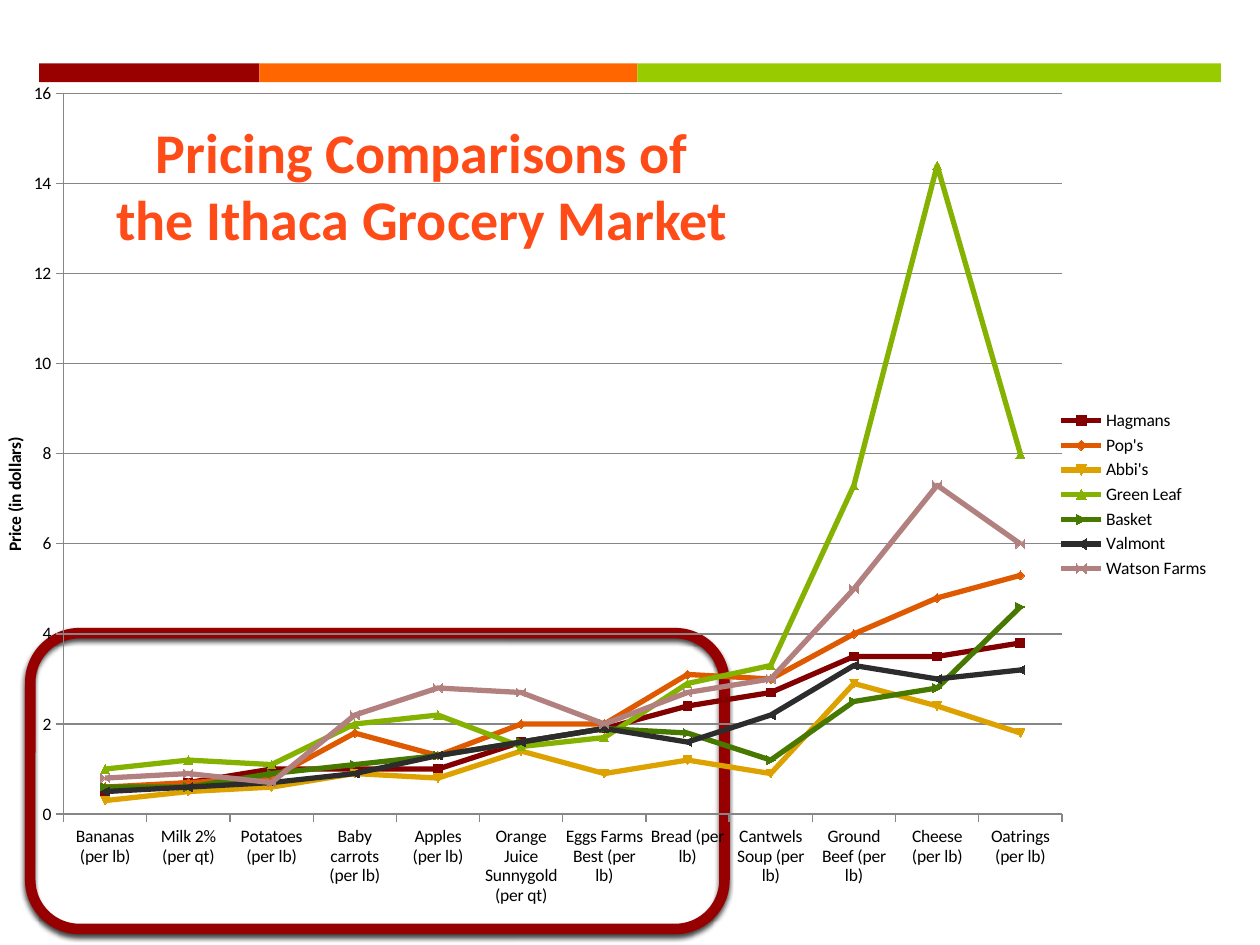
import pptx
import pptx.chart.data
import pptx.dml.color
import pptx.enum.chart
import pptx.enum.shapes
import pptx.enum.text
import pptx.oxml
import pptx.oxml.ns
import pptx.util

WIDE, HIGH = 10, 7.5
FONT = "Calibri"
HUES = {
    "red": "990000", "orange": "FF6600", "lime": "99CC00",
    "frame": "960000", "title": "FF4B18", "text": "000000", "grid": "868686",
}
BANDS = [("red", 1.75), ("orange", 3), ("lime", 4.63)]
FOODS = [
    "Bananas (per lb)", "Milk 2% (per qt)", "Potatoes (per lb)",
    "Baby carrots (per lb)", "Apples (per lb)",
    "Orange Juice Sunnygold (per qt)", "Eggs Farms Best (per lb)",
    "Bread (per lb)", "Cantwels Soup (per lb)", "Ground Beef (per lb)",
    "Cheese (per lb)", "Oatrings (per lb)",
]
STORES = [
    ("Hagmans", "820000", [0.5, 0.7, 1, 1, 1, 1.6, 1.9, 2.4, 2.7, 3.5, 3.5, 3.8]),
    ("Pop's", "DE5900", [0.6, 0.7, 0.8, 1.8, 1.3, 2, 2, 3.1, 3, 4, 4.8, 5.3]),
    ("Abbi's", "DDA100", [0.3, 0.5, 0.6, 0.9, 0.8, 1.4, 0.9, 1.2, 0.9, 2.9, 2.4, 1.8]),
    ("Green Leaf", "85B200", [1, 1.2, 1.1, 2, 2.2, 1.5, 1.7, 2.9, 3.3, 7.3, 14.4, 8]),
    ("Basket", "477800", [0.6, 0.6, 0.9, 1.1, 1.3, 1.6, 1.9, 1.8, 1.2, 2.5, 2.8, 4.6]),
    ("Valmont", "2C2C2C", [0.5, 0.6, 0.7, 0.9, 1.3, 1.6, 1.9, 1.6, 2.2, 3.3, 3, 3.2]),
    ("Watson Farms", "B38080", [0.8, 0.9, 0.7, 2.2, 2.8, 2.7, 2, 2.7, 3, 5, 7.3, 6]),
]


def tint(name):
    return pptx.dml.color.RGBColor.from_string(HUES.get(name, name))


def span(box):
    return [pptx.util.Inches(part) for part in box]


def share(left, top, width, height):
    return left * WIDE, top * HIGH, width * WIDE, height * HIGH


def style(font, size=10, hue="text", bold=False):
    font.name = FONT
    font.size = pptx.util.Pt(size)
    font.bold = bold
    font.color.rgb = tint(hue)


def write(frame, text, align=pptx.enum.text.PP_ALIGN.CENTER, **form):
    frame.text = text
    for para in frame.paragraphs:
        para.alignment = align
        for run in para.runs:
            style(run.font, **form)


def stroke(line, hue, width):
    line.color.rgb = tint(hue)
    line.width = pptx.util.Pt(width)


def draw_bands(slide, box):
    left, top, width, height = box
    unit = width / sum(part for _, part in BANDS)
    for hue, part in BANDS:
        band = slide.shapes.add_shape(
            pptx.enum.shapes.MSO_SHAPE.RECTANGLE,
            *span((left, top, part * unit, height)))
        band.shadow.inherit = False
        band.fill.solid()
        band.fill.fore_color.rgb = tint(hue)
        band.line.fill.background()
        left += part * unit


def draw_frame(slide, box):
    frame = slide.shapes.add_shape(
        pptx.enum.shapes.MSO_SHAPE.ROUNDED_RECTANGLE, *span(box))
    frame.fill.background()
    stroke(frame.line, "frame", 6)
    frame.shadow.inherit = False
    glow = frame.element.spPr.find(pptx.oxml.ns.qn("a:effectLst"))
    glow.append(pptx.oxml.parse_xml(
        f'<a:outerShdw {pptx.oxml.ns.nsdecls("a")} blurRad="38100" '
        'dist="25400" dir="6600000" rotWithShape="0">'
        '<a:srgbClr val="000000"><a:alpha val="75000"/></a:srgbClr>'
        '</a:outerShdw>'))


def place_plot(chart, left, top, width, height):
    area = chart.element.chart.plotArea
    for old in area.findall(pptx.oxml.ns.qn("c:layout")):
        area.remove(old)
    area.insert(0, pptx.oxml.parse_xml(
        f'<c:layout {pptx.oxml.ns.nsdecls("c")}><c:manualLayout>'
        '<c:layoutTarget val="inner"/><c:xMode val="edge"/>'
        f'<c:yMode val="edge"/><c:x val="{left}"/><c:y val="{top}"/>'
        f'<c:w val="{width}"/><c:h val="{height}"/>'
        '</c:manualLayout></c:layout>'))


def draw_chart(slide, box):
    kinds = pptx.enum.chart
    data = pptx.chart.data.CategoryChartData()
    data.categories = FOODS
    for name, _, costs in STORES:
        data.add_series(name, costs)
    chart = slide.shapes.add_chart(
        kinds.XL_CHART_TYPE.LINE_MARKERS, *span(box), data).chart
    style(chart.font)
    chart.has_title = False
    chart.has_legend = True
    chart.legend.position = kinds.XL_LEGEND_POSITION.RIGHT
    chart.legend.include_in_layout = False
    style(chart.legend.font)
    place_plot(chart, 0.052, 0.038, 0.817, 0.83)
    chart.plots[0].vary_by_categories = False
    for line, (_, hue, _) in zip(chart.plots[0].series, STORES):
        line.smooth = False
        stroke(line.format.line, hue, 3)
        line.marker.format.fill.solid()
        line.marker.format.fill.fore_color.rgb = tint(hue)
        stroke(line.marker.format.line, hue, 0.75)
    price = chart.value_axis
    for axis in (chart.category_axis, price):
        axis.major_tick_mark = kinds.XL_TICK_MARK.OUTSIDE
        stroke(axis.format.line, "grid", 0.75)
        style(axis.tick_labels.font)
    price.minimum_scale, price.maximum_scale, price.major_unit = 0, 16, 2
    price.has_major_gridlines = True
    stroke(price.major_gridlines.format.line, "grid", 0.75)
    label = price.axis_title.text_frame
    write(label, "Price (in dollars)", bold=True)
    label._txBody.bodyPr.set("rot", "-5400000")


def draw_title(slide, box):
    title = slide.shapes.title
    title.left, title.top, title.width, title.height = span(box)
    frame = title.text_frame
    write(frame, "Pricing Comparisons of\nthe Ithaca Grocery Market",
          size=32, hue="title", bold=True)
    frame.word_wrap = False
    frame.auto_size = pptx.enum.text.MSO_AUTO_SIZE.NONE
    slide.shapes.element.append(title.element)


def main():
    deck = pptx.Presentation()
    deck.slide_width, deck.slide_height = span((WIDE, HIGH))
    slide = deck.slides.add_slide(deck.slide_layouts[5])
    draw_bands(slide, share(0.031, 0.067, 0.938, 0.02))
    draw_frame(slide, share(0.024, 0.67, 0.551, 0.313))
    draw_chart(slide, share(0, 0.064, 0.97, 0.919))
    draw_title(slide, share(0.08, 0.117, 0.51, 0.157))
    deck.save("out.pptx")


if __name__ == "__main__":
    main()
